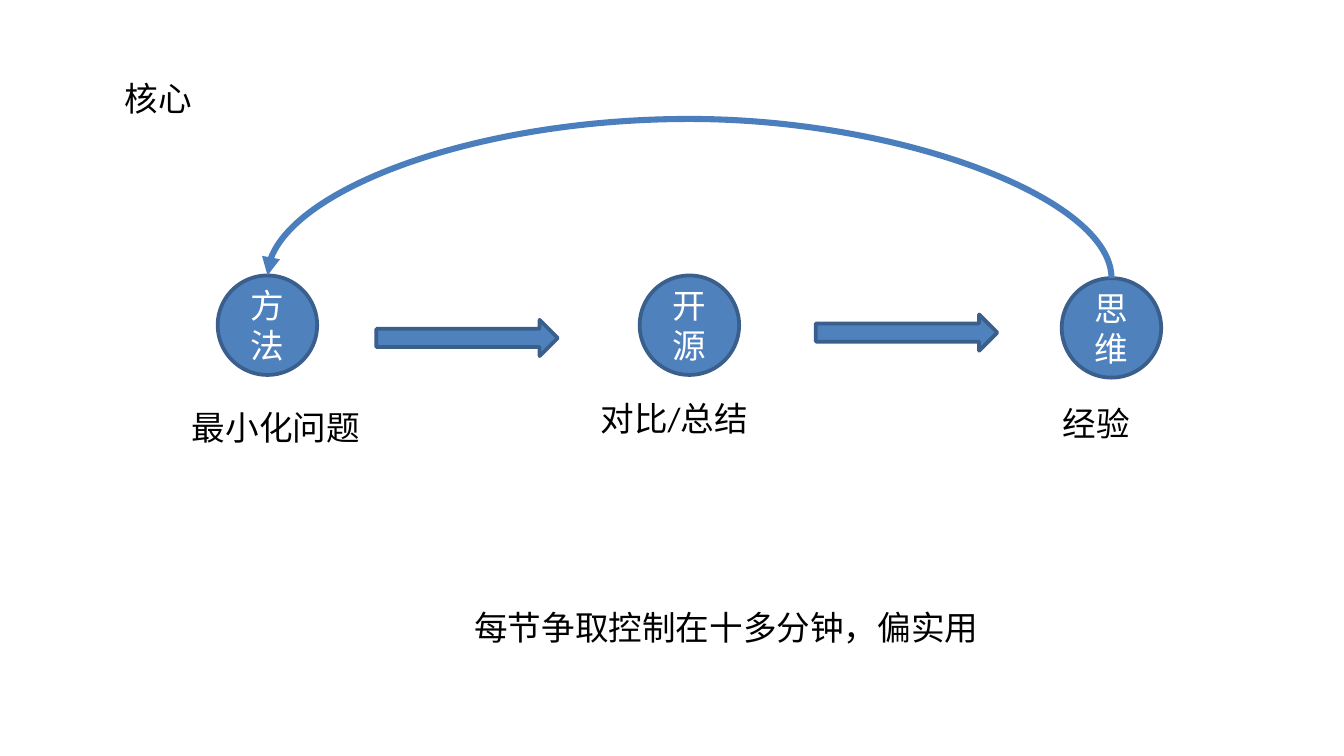
from pptx import Presentation
from pptx.util import Inches, Pt
from pptx.dml.color import RGBColor
from pptx.enum.shapes import MSO_SHAPE as Shape, MSO_CONNECTOR as Link
from pptx.enum.text import PP_ALIGN as Align, MSO_ANCHOR as Anchor
from pptx.enum.text import MSO_AUTO_SIZE as Fit
from pptx.oxml.ns import qn
from lxml.etree import SubElement

BLUE, EDGE, CURVE = "4F81BD", "3A5F8C", "4B7EBC"
BLACK, WHITE = "000000", "FFFFFF"
SIZE = 0.74  # circle diameter


def color(code):
    return RGBColor.from_string(code)


def write(frame, text, code):
    run = frame.paragraphs[0].add_run()
    run.text = text
    run.font.name = "Calibri"
    run.font.size = Pt(18)
    run.font.color.rgb = color(code)


def label(slide, text, x, y, w, h=0.4):
    box = slide.shapes.add_textbox(*map(Inches, (x, y, w, h)))
    frame = box.text_frame
    frame.word_wrap = False
    frame.auto_size = Fit.SHAPE_TO_FIT_TEXT
    write(frame, text, BLACK)


def solid(slide, kind, x, y, w, h):
    shape = slide.shapes.add_shape(kind, *map(Inches, (x, y, w, h)))
    shape.shadow.inherit = False
    shape.fill.solid()
    shape.fill.fore_color.rgb = color(BLUE)
    shape.line.color.rgb = color(EDGE)
    shape.line.width = Pt(2)
    return shape


def circle(slide, text, x, y):
    frame = solid(slide, Shape.OVAL, x, y, SIZE, SIZE).text_frame
    frame.word_wrap = True
    frame.vertical_anchor = Anchor.MIDDLE
    frame.paragraphs[0].alignment = Align.CENTER
    write(frame, text, WHITE)


def loop(slide, x1, y1, x2, y2, top):
    """Curved arrow from (x1, y1) over the top height to (x2, y2)."""
    # Laid out upright around the midpoint, then turned by 270 degrees
    mid_x, mid_y = (x1 + x2) / 2, (y1 + y2) / 2
    drop, span = y1 - y2, x1 - x2
    ends = (mid_x - drop / 2, mid_y + span / 2,
            mid_x + drop / 2, mid_y - span / 2)
    line = slide.shapes.add_connector(Link.CURVE, *map(Inches, ends))
    line.line.color.rgb = color(CURVE)
    line.line.width = Pt(3.25)
    props = line._element.spPr
    props.find(qn("a:xfrm")).set("rot", str(270 * 60000))
    # Height of the bend, as a share of the drop
    guides = props.find(qn("a:prstGeom")).find(qn("a:avLst"))
    bend = round((y1 - top) / drop * 100000)
    SubElement(guides, qn("a:gd"), name="adj1", fmla=f"val {bend}")
    SubElement(props.find(qn("a:ln")), qn("a:tailEnd"), type="triangle")
    SubElement(props, qn("a:effectLst"))


def cycle(slide, x, y):
    """Three linked steps, with the first circle at (x, y)."""
    step = 3.14
    # Circles: text and drop below the row
    for i, (text, dy) in enumerate((("方法", 0), ("开源", 0), ("思维", 0.02))):
        circle(slide, text, x + i * step, y + dy)
    # Captions
    label(slide, "最小化问题", x - 0.29, y + 0.93, 1.61, 0.44)
    label(slide, "对比/总结", x + 2.75, y + 0.86, 1.44, 0.44)
    label(slide, "经验", x + 6.19, y + 0.9, 0.71)
    # Block arrows
    for dx, dy in ((1.18, 0.33), (4.45, 0.29)):
        solid(slide, Shape.RIGHT_ARROW, x + dx, y + dy, 1.35, 0.27)
    # Way back from the last circle to the first
    mid = x + SIZE / 2
    loop(slide, mid + 2 * step, y + 0.02, mid, y, y - 1.16)


def main():
    deck = Presentation()
    deck.slide_width = Inches(10)
    deck.slide_height = deck.slide_width * 9 // 16
    slide = deck.slides.add_slide(deck.slide_layouts[6])
    label(slide, "核心", 0.83, 0.53, 0.71)
    cycle(slide, 1.62, 2.05)
    label(slide, "每节争取控制在十多分钟，偏实用", 3.43, 4.47, 3.99)
    deck.save("out.pptx")


if __name__ == "__main__":
    main()
